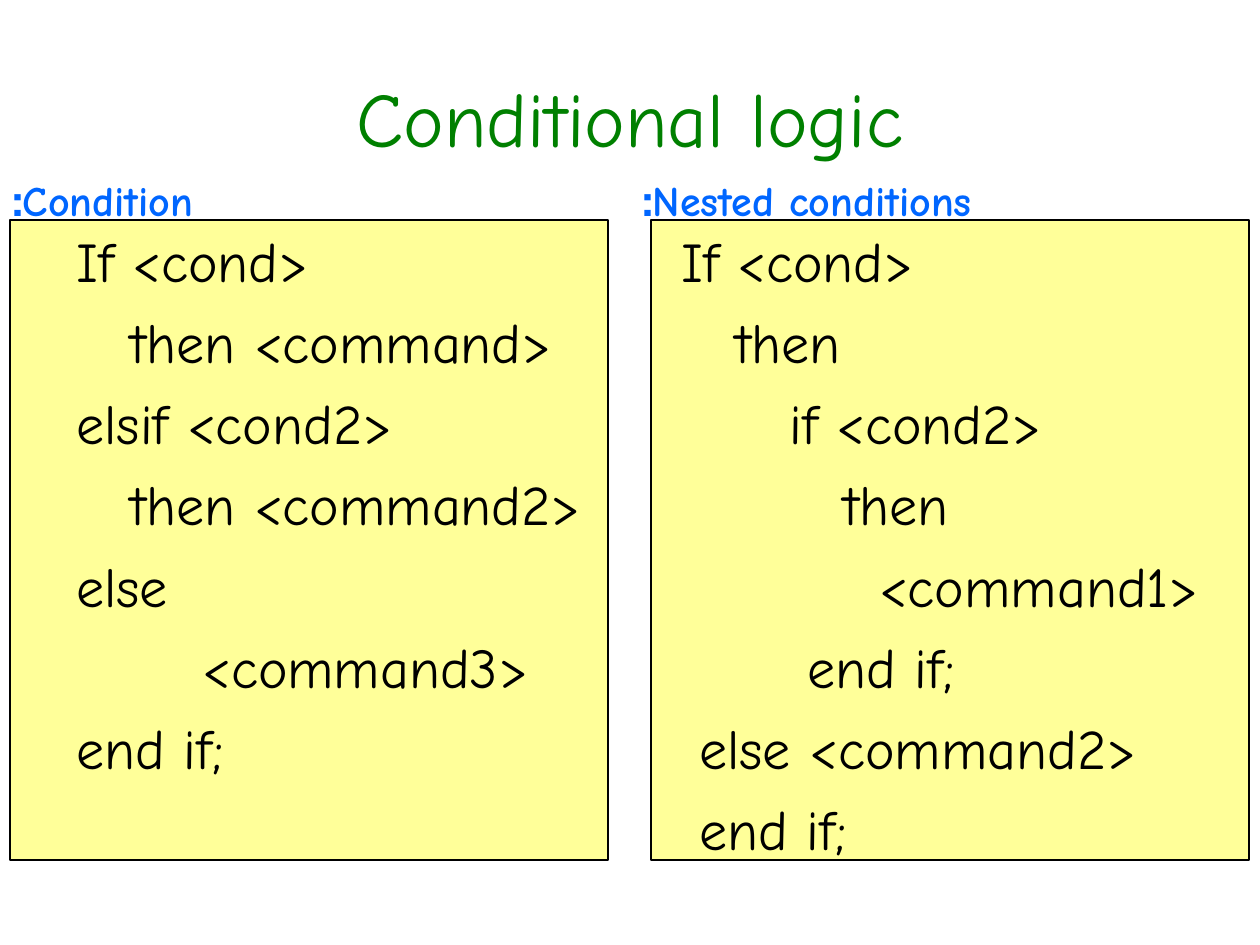
from pptx import Presentation
from pptx import util as u
from pptx.dml.color import RGBColor
from pptx.enum import shapes, text

GREEN = RGBColor(0x00, 0x80, 0x00)
BLUE = RGBColor(0x00, 0x66, 0xFF)
BLACK = RGBColor(0x00, 0x00, 0x00)
CREAM = RGBColor(0xFF, 0xFF, 0x99)
FONT = "Comic Neue"
PX = 914400 // 126
STEP = 18

TITLE = "Conditional logic"
PANELS = [
    {"head": "Condition:", "left": 0, "box": 10, "wide": 315,
     "code": [(3, "If <cond>"), (6, "then <command>"),
              (3, "elsif <cond2>"), (6, "then <command2>"),
              (3, "else"), (10, "<command3>"), (3, "end if;")]},
    {"head": "Nested conditions:", "left": 630, "box": 651, "wide": 598,
     "code": [(1, "If <cond>"), (4, "then"), (7, "if <cond2>"),
              (10, "then"), (12, "<command1>"), (8, "end if;"),
              (2, "else <command2>"), (2, "end if;")]},
]


def write(shape, rows, size, color, bold=False, gap=0, rtl=False,
          align=text.PP_ALIGN.LEFT, anchor=text.MSO_ANCHOR.TOP):
    """Fill a shape with (indent, words) rows in one style."""
    frame = shape.text_frame
    frame.word_wrap = True
    frame.vertical_anchor = anchor
    for i, (level, words) in enumerate(rows):
        para = frame.add_paragraph() if i else frame.paragraphs[0]
        para.alignment = align
        para.space_before = u.Pt(gap)
        props = para._p.get_or_add_pPr()
        if level:
            props.set("marL", str(level * STEP * PX))
        if rtl:
            props.set("rtl", "1")
        run = para.add_run()
        run.text = words
        style = {"name": FONT, "size": u.Pt(size), "bold": bold}
        for key, value in style.items():
            setattr(run.font, key, value)
        run.font.color.rgb = color


def place(*dims):
    """Turn px lengths into EMU."""
    return [n * PX for n in dims]


def main():
    """Build the slide."""
    deck = Presentation()
    deck.slide_width, deck.slide_height = place(1260, 945)
    slide = deck.slides.add_slide(deck.slide_layouts[6])
    items = slide.shapes
    write(items.add_textbox(*place(63, 38, 1134, 158)), [(0, TITLE)], 44, GREEN,
          align=text.PP_ALIGN.CENTER, anchor=text.MSO_ANCHOR.MIDDLE)
    for panel in PANELS:
        box = items.add_shape(shapes.MSO_SHAPE.RECTANGLE,
                              *place(panel["box"], 220, 598, 640))
        box.shadow.inherit = False
        box.fill.solid()
        box.fill.fore_color.rgb = CREAM
        box.line.color.rgb = BLACK
        box.line.width = u.Pt(0.75)
        write(box, panel["code"], 32, BLACK, gap=8)
        head = items.add_textbox(*place(panel["left"], 168, panel["wide"], 63))
        write(head, [(0, panel["head"])], 24, BLUE, bold=True, gap=15, rtl=True)
    deck.save("out.pptx")


if __name__ == "__main__":
    main()
